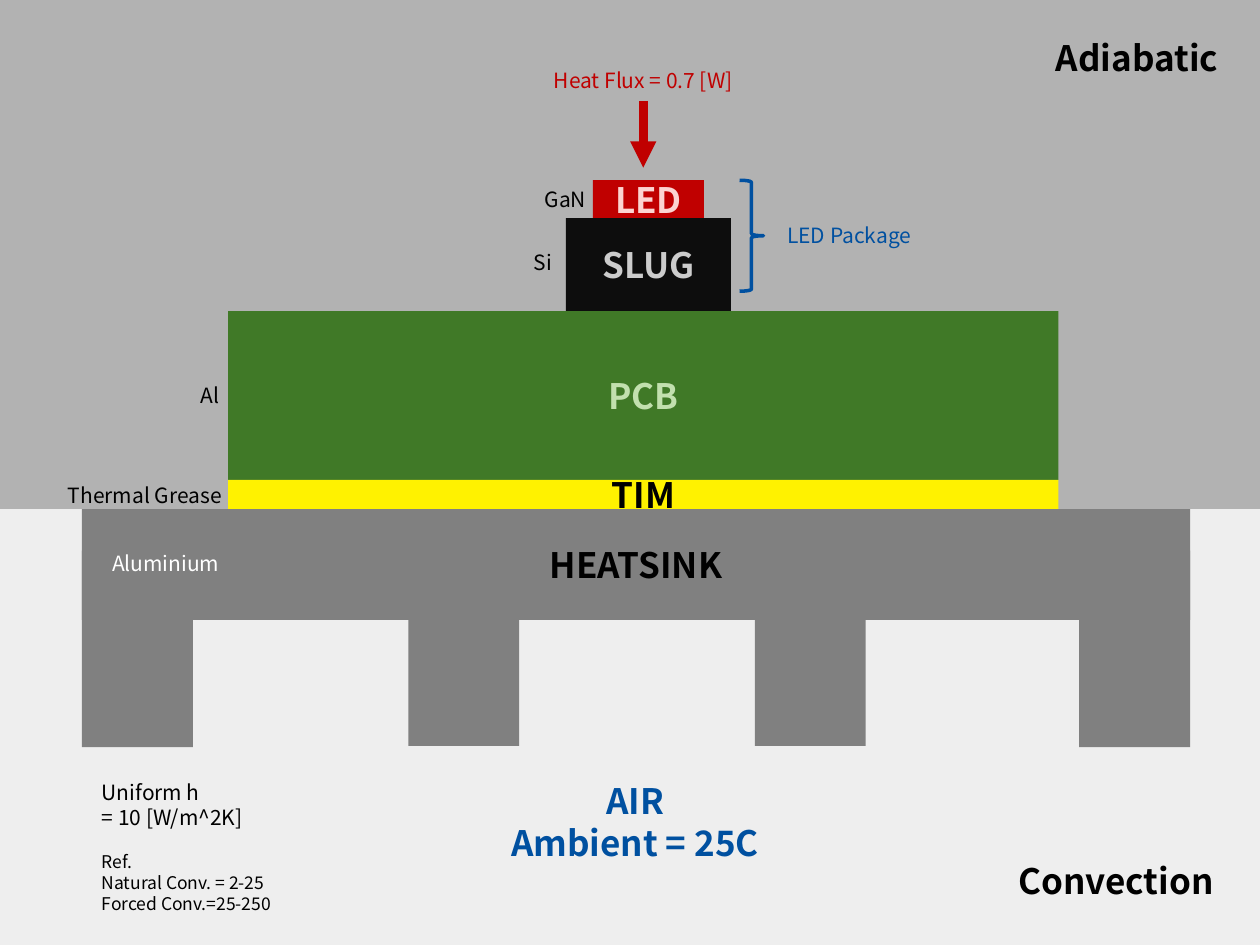
from lxml import etree
from pptx import Presentation
from pptx.dml.color import RGBColor
from pptx.enum.shapes import MSO_CONNECTOR, MSO_SHAPE
from pptx.enum.text import MSO_ANCHOR, MSO_AUTO_SIZE, PP_ALIGN
from pptx.oxml.ns import qn
from pptx.util import Pt

RECT, BRACE = MSO_SHAPE.RECTANGLE, MSO_SHAPE.RIGHT_BRACE
LINE = MSO_CONNECTOR.STRAIGHT
MID, TOP = MSO_ANCHOR.MIDDLE, MSO_ANCHOR.TOP
GROW = MSO_AUTO_SIZE.SHAPE_TO_FIT_TEXT
LEFT, MIDDLE, RIGHT = PP_ALIGN.LEFT, PP_ALIGN.CENTER, PP_ALIGN.RIGHT
FONT = "Noto Sans CJK KR"
HEX = {
    "air": "EEEEEE", "still": "B2B2B2", "red": "C00000", "pink": "FCD4D1",
    "slug": "0D0D0D", "pale": "CCCCCC", "green": "407927", "mint": "C2E0AE",
    "grease": "FFF200", "metal": "808080", "blue": "0050A0",
    "black": "000000", "white": "FFFFFF",
}
HEAD = {"size": Pt(20), "bold": True}
BODY = {"size": Pt(12), "bold": False}
SMALL = {"size": Pt(10), "bold": False}


def tint(name):
    return RGBColor.from_string(HEX[name])


def put(para, text, form, color, align):
    para.alignment = align
    run = para.add_run()
    run.text = text
    for key, val in {"name": FONT, **form}.items():
        setattr(run.font, key, val)
    run.font.color.rgb = tint(color)


def block(slide, box, fill, text="", color="black"):
    shape = slide.shapes.add_shape(RECT, *map(Pt, box))
    shape.shadow.inherit = False
    shape.fill.solid()
    shape.fill.fore_color.rgb = tint(fill)
    shape.line.fill.background()
    if text:
        shape.text_frame.vertical_anchor = MID
        put(shape.text_frame.paragraphs[0], text, HEAD, color, MIDDLE)


def label(slide, box, lines, form=BODY, color="black", align=RIGHT):
    frame = slide.shapes.add_textbox(*map(Pt, box)).text_frame
    for key, val in {"word_wrap": True, "auto_size": GROW,
                     "vertical_anchor": TOP}.items():
        setattr(frame, key, val)
    for i, text in enumerate(lines):
        para = frame.add_paragraph() if i else frame.paragraphs[0]
        put(para, text, form, color, align)
    return frame


def zones(slide, box):
    x, y, w, h = box
    split = 290.9
    block(slide, (x, y + split, w, h - split), "air")
    block(slide, (x, y, w, split), "still")
    label(slide, (x + 595.4, y + 17.3, 108.7, 31), ["Adiabatic"], HEAD,
          align=MIDDLE)
    label(slide, (x + 507.6, y + 487.4, 193, 31), ["Convection"], HEAD)


def stack(slide, box):
    x, y, w, h = box
    mid = x + w / 2
    parts = [
        ("LED", 63.4, 21.6, "red", "pink", "GaN", 342, 0, 3),
        ("SLUG", 94.3, 53.2, "slug", "pale", "Si", 322.6, 14.4, 3),
        ("PCB", w, 96.5, "green", "mint", "Al", 132.5, 37.5, 0),
        ("TIM", w, 16.6, "grease", "black", "Thermal Grease", 133.9, -2.2, 0),
    ]
    for name, wide, tall, fill, ink, stuff, edge, drop, shift in parts:
        block(slide, (mid - wide / 2 + shift, y, wide, tall), fill, name, ink)
        label(slide, (edge - 106, y + drop, 106, 21.6), [stuff])
        y += tall


def sink(slide, box):
    x, y, w, h = box
    fin = 63.4
    block(slide, (x, y, w, fin), "metal", "HEATSINK")
    for left, trim in ((0, 0), (186.5, 0.7), (384.5, 0.7), (w - fin, 0)):
        block(slide, (x + left, y + 23.8, fin, h - 23.8 - trim), "metal")
    label(slide, (x + 7.2, y + 20.2, 78.5, 21.6), ["Aluminium"],
          color="white")


def package(slide, box):
    x, y, w, h = box
    brace = slide.shapes.add_shape(BRACE, Pt(x), Pt(y), Pt(13.7), Pt(h))
    brace.shadow.inherit = False
    brace.fill.background()
    brace.line.color.rgb = tint("blue")
    brace.line.width = Pt(2)
    label(slide, (x + 20.2, y + 20.9, w - 20.2, 21.6), ["LED Package"],
          color="blue", align=LEFT)


def flux(slide, box):
    x, y, w, h = box
    label(slide, (x, y, w, 21.6), ["Heat Flux = 0.7 [W]"], color="red",
          align=MIDDLE)
    mid = x + w / 2
    arrow = slide.shapes.add_connector(
        LINE, Pt(mid), Pt(y + 22.3), Pt(mid), Pt(y + h))
    arrow.line.color.rgb = tint("red")
    arrow.line.width = Pt(5)
    etree.SubElement(arrow.line._get_or_add_ln(), qn("a:tailEnd"),
                     type="triangle")
    etree.SubElement(arrow._element.spPr, qn("a:effectLst"))


def notes(slide, box):
    frame = label(slide, box, ["Uniform h", "= 10 [W/m^2K]"], align=LEFT)
    refs = ["Ref.", "Natural Conv. = 2-25", "Forced Conv.=25-250"]
    for i, text in enumerate(refs):
        para = frame.add_paragraph()
        para.space_before = Pt(0 if i else 12)
        put(para, text, SMALL, "black", LEFT)


def air(slide, box):
    label(slide, box, ["AIR", "Ambient = 25C"], HEAD, "blue", MIDDLE)


def main():
    deck = Presentation()
    deck.slide_width, deck.slide_height = Pt(720), Pt(540)
    slide = deck.slides.add_slide(deck.slide_layouts[6])
    regions = [
        (zones, (0, 0, 720, 540)),
        (stack, (130.3, 103, 474.5, 187.9)),
        (sink, (46.8, 290.9, 633.3, 136.1)),
        (package, (422.6, 103, 144.7, 63.4)),
        (flux, (285.1, 35.3, 165, 60.5)),
        (notes, (51.1, 442.1, 122.4, 84.2)),
        (air, (280.8, 442.1, 164.2, 55.4)),
    ]
    for draw, box in regions:
        draw(slide, box)
    deck.save("out.pptx")


if __name__ == "__main__":
    main()
